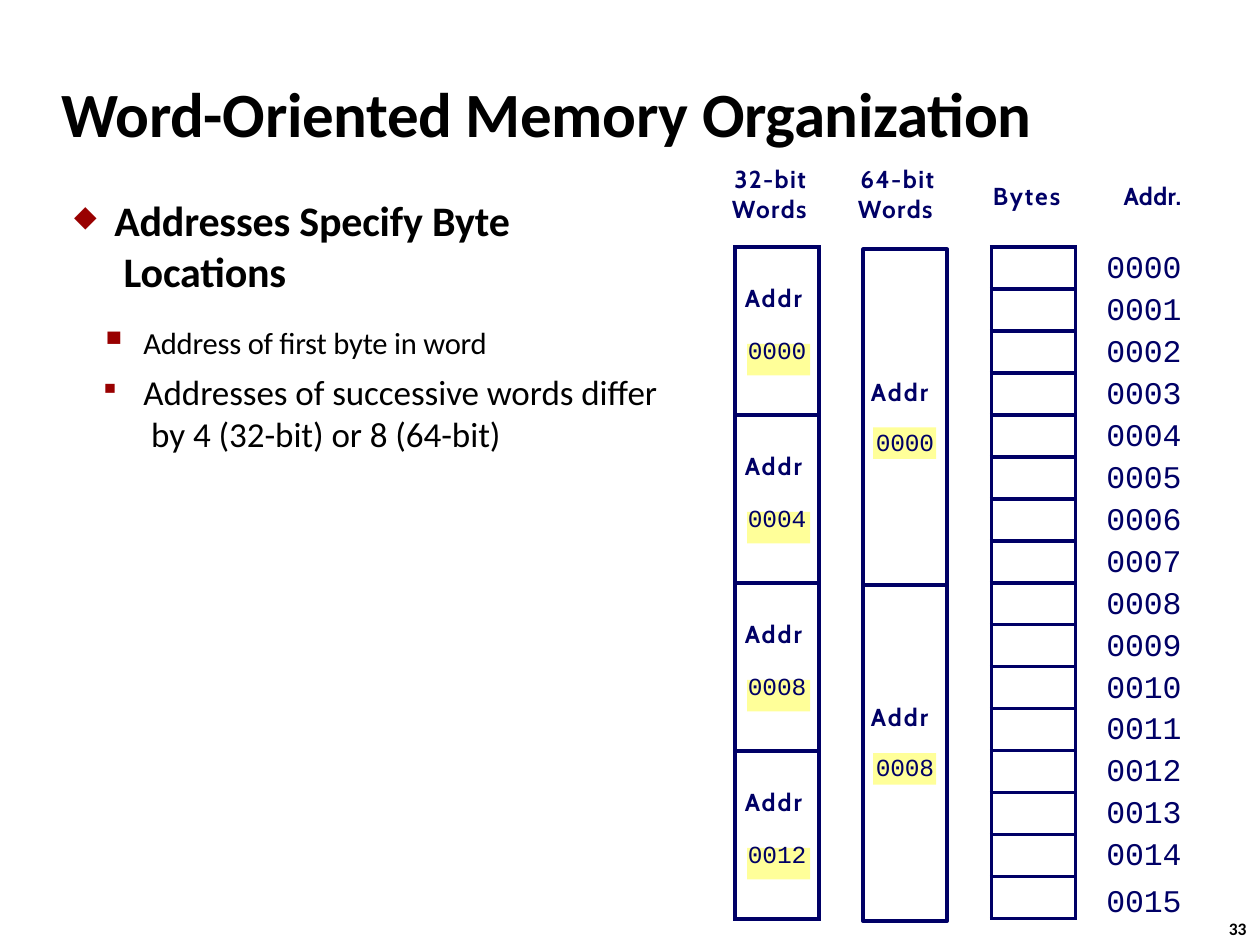
from lxml.etree import SubElement
from pptx import Presentation
from pptx.dml.color import RGBColor
from pptx.enum.shapes import MSO_SHAPE as Shape
from pptx.enum.text import MSO_ANCHOR as Anchor, MSO_AUTO_SIZE as AutoSize, PP_ALIGN as Align
from pptx.oxml.ns import qn
from pptx.util import Pt

BLACK = RGBColor(0x00, 0x00, 0x00)
WHITE = RGBColor(0xFF, 0xFF, 0xFF)
NAVY = RGBColor(0x00, 0x00, 0x66)
RED = RGBColor(0x99, 0x00, 0x00)
YELLOW = RGBColor(0xFF, 0xFF, 0x99)
PLAIN_TABLE = "{2D5ABB26-0587-4C30-8999-92F81FD0307C}"

BODY, LABEL, CODE = "Calibri", "Cabin", "Courier New"
BYTE = 24
BYTES = 16
TOP = 141.2
FIELD_TOP = 142.4
COLUMN = 48
GAP = 5.1


class MemorySlide:
    def __init__(self, page):
        self.page = page

    def style(self, para, font, size, color=NAVY, bold=False, spacing=0, align=Align.LEFT):
        para.alignment = align
        for span in para.runs:
            span.font.name = font
            span.font.size = Pt(size)
            span.font.bold = bold
            span.font.color.rgb = color
            span._r.get_or_add_rPr().set("spc", str(round(spacing * 100)))

    def label(self, para, spacing=1.1, align=Align.LEFT):
        self.style(para, LABEL, 14, bold=True, spacing=spacing, align=align)

    def code(self, para, size=14, align=Align.LEFT):
        self.style(para, CODE, size, spacing=-0.1, align=align)

    def indent(self, para, left, first=0):
        props = para._p.get_or_add_pPr()
        props.set("marL", str(Pt(left)))
        props.set("indent", str(Pt(first)))
        return props

    def bullet(self, para, char, left, first, percent):
        props = self.indent(para, left, first)
        color = SubElement(props, qn("a:buClr"))
        SubElement(color, qn("a:srgbClr"), val=str(RED))
        SubElement(props, qn("a:buSzPct"), val=str(percent * 1000))
        SubElement(props, qn("a:buChar"), char=char)

    def frame(self, box, text, top=0, left=0, wrap=True):
        """Fill a box with text and set its insets."""
        frame = box.text_frame
        frame.text = text
        frame.word_wrap = wrap
        frame.auto_size = AutoSize.NONE
        frame.vertical_anchor = Anchor.TOP
        frame.margin_left, frame.margin_top = Pt(left), Pt(top)
        frame.margin_right = frame.margin_bottom = 0
        return frame.paragraphs

    def title(self, text, left, top, width, height):
        box = self.page.shapes.title
        box.left, box.top, box.width, box.height = map(Pt, (left, top, width, height))
        para, = self.frame(box, text, top=1)
        self.style(para, BODY, 36, BLACK, bold=True, spacing=-0.2)

    def text(self, text, left, top, width, height, wrap=True):
        box = self.page.shapes.add_textbox(*map(Pt, (left, top, width, height)))
        return self.frame(box, text, top=1, wrap=wrap)

    def rect(self, left, top, width, height, text="", fill=None, line=None, inset=(0, 0)):
        box = self.page.shapes.add_shape(
            Shape.RECTANGLE, *map(Pt, (left, top, width, height)))
        box.shadow.inherit = False
        if fill is None:
            box.fill.background()
        else:
            box.fill.solid()
            box.fill.fore_color.rgb = fill
        if line is None:
            box.line.fill.background()
        else:
            box.line.color.rgb = line
            box.line.width = Pt(2)
        return self.frame(box, text, *inset)[0]

    def badge(self, left, top, text=""):
        """Yellow field that marks the address of a word."""
        para = self.rect(left, top, 36, 18, text, fill=YELLOW, inset=(0, 1.5))
        para.line_spacing = Pt(16.4)
        self.code(para)

    def table(self, left, top, widths, heights, border=None):
        holder = self.page.shapes.add_table(
            len(heights), len(widths), *map(Pt, (left, top, sum(widths), sum(heights))))
        table = holder.table
        table.first_row = table.horz_banding = False
        table._tbl.tblPr.find(qn("a:tableStyleId")).text = PLAIN_TABLE
        for column, width in zip(table.columns, widths):
            column.width = Pt(width)
        for row, height in zip(table.rows, heights):
            row.height = Pt(height)
        for cell in table.iter_cells():
            cell.margin_left = cell.margin_right = cell.margin_top = cell.margin_bottom = 0
            if border is not None:
                self.cell_border(cell, border)
            cell.fill.background()
        return table

    def cell_border(self, cell, color):
        props = cell._tc.get_or_add_tcPr()
        for side in ("L", "R", "T", "B"):
            line = SubElement(props, qn("a:ln" + side), w=str(Pt(2.25)))
            fill = SubElement(line, qn("a:solidFill"))
            SubElement(fill, qn("a:srgbClr"), val=str(color))

    def cell_line(self, cell, text, spacing):
        """Put one line of fixed height in a cell."""
        cell.text = text
        para = cell.text_frame.paragraphs[0]
        para.line_spacing = Pt(spacing)
        return para

    def shrink_empty(self, table):
        """Keep empty cells from stretching their low rows."""
        for cell in table.iter_cells():
            if not cell.text:
                SubElement(cell.text_frame.paragraphs[0]._p, qn("a:endParaRPr"), sz="200")


def add_body(slide):
    head, first, second = slide.text(
        "Addresses Specify Byte\v Locations\n"
        "Address of first byte in word\n"
        "Addresses of successive words differ\v by 4 (32-bit) or 8 (64-bit)",
        37.4, 110.2, 341, 140)
    slide.bullet(head, "◆", 28, -23, 70)
    slide.style(head, BODY, 24, BLACK, bold=True, spacing=-0.1)
    for para, size, gap, percent, spacing in ((first, 17.5, 16.5, 125, -0.13),
                                              (second, 20, 5.5, 80, -0.07)):
        slide.bullet(para, "▪", 44.6, -25, percent)
        para.space_before = Pt(gap)
        slide.style(para, BODY, size, BLACK, spacing=spacing)


def add_backing(slide):
    """White fields under the bytes and words."""
    fields = [(567.4, 1, index) for index in range(2, BYTES)]
    fields += [(493.2, 8, 0)] + [(421.2, 4, index) for index in range(1, 4)]
    for left, size, index in fields:
        height = size * BYTE
        slide.rect(left, FIELD_TOP + index * height, COLUMN, height, fill=WHITE)


def add_byte_columns(slide):
    slide.shrink_empty(slide.table(566.6, TOP, [COLUMN], [BYTE] * BYTES, border=NAVY))
    heights = [36.7, BYTE] + [GAP, BYTE - GAP] * (BYTES - 2) + [GAP, 22.3]
    table = slide.table(567.4, 105.1, [COLUMN, 61.7], heights)
    slide.label(slide.cell_line(table.cell(0, 0), "Bytes", 15.8))
    slide.label(slide.cell_line(table.cell(0, 1), "Addr.", 15.8), 0.2, Align.RIGHT)
    spacings = [19.1] + [17.9] * (BYTES - 2) + [20.4]
    for address, spacing in enumerate(spacings):
        cell = table.cell(2 * address + 1, 1)
        slide.code(slide.cell_line(cell, f"{address:04}", spacing), 18, Align.RIGHT)
    table.cell(1, 1).margin_top = Pt(3.6)
    for row in range(len(heights)):
        table.cell(row, 1).margin_right = Pt(2)
    slide.shrink_empty(table)


def add_long_words(slide):
    height = 8 * BYTE
    for index, (inset, badge_top) in enumerate(((73, 244.2), (67, 430.4))):
        para = slide.rect(493.2, FIELD_TOP + index * height, COLUMN, height, "Addr",
                          line=NAVY, inset=(inset, 4.5))
        slide.label(para)
        slide.badge(499, badge_top, f"{index * 8:04}")


def add_short_words(slide):
    height = 4 * BYTE
    for index in range(4):
        slide.badge(427, 196.5 + index * height)
    table = slide.table(420, TOP, [COLUMN], [height] * 4, border=NAVY)
    for index, cell in enumerate(table.iter_cells()):
        cell.text = f"Addr\n{index * 4:04}"
        cell.margin_top, cell.margin_left = Pt(21), Pt(5.6)
        name, address = cell.text_frame.paragraphs
        slide.label(name)
        slide.indent(address, 1.8)
        address.space_before = Pt(14.8)
        slide.code(address)


def main():
    deck = Presentation()
    deck.slide_width, deck.slide_height = Pt(720), Pt(540)
    slide = MemorySlide(deck.slides.add_slide(deck.slide_layouts[5]))
    slide.title("Word-Oriented Memory Organization", 35, 41.8, 562, 45.4)
    add_body(slide)
    add_backing(slide)
    for text, left in (("32-bit\vWords", 417.6), ("64-bit\vWords", 489.6)):
        para, = slide.text(text, left, 92.9, 52, 36, wrap=False)
        slide.indent(para, 0.7, 1.4)
        slide.label(para, spacing=0.8)
    add_byte_columns(slide)
    add_long_words(slide)
    add_short_words(slide)
    number, = slide.text("33", 701.3, 523.4, 12.2, 14.4, wrap=False)
    slide.indent(number, 0.9)
    slide.style(number, BODY, 10, BLACK, bold=True)
    deck.save("out.pptx")


if __name__ == "__main__":
    main()
